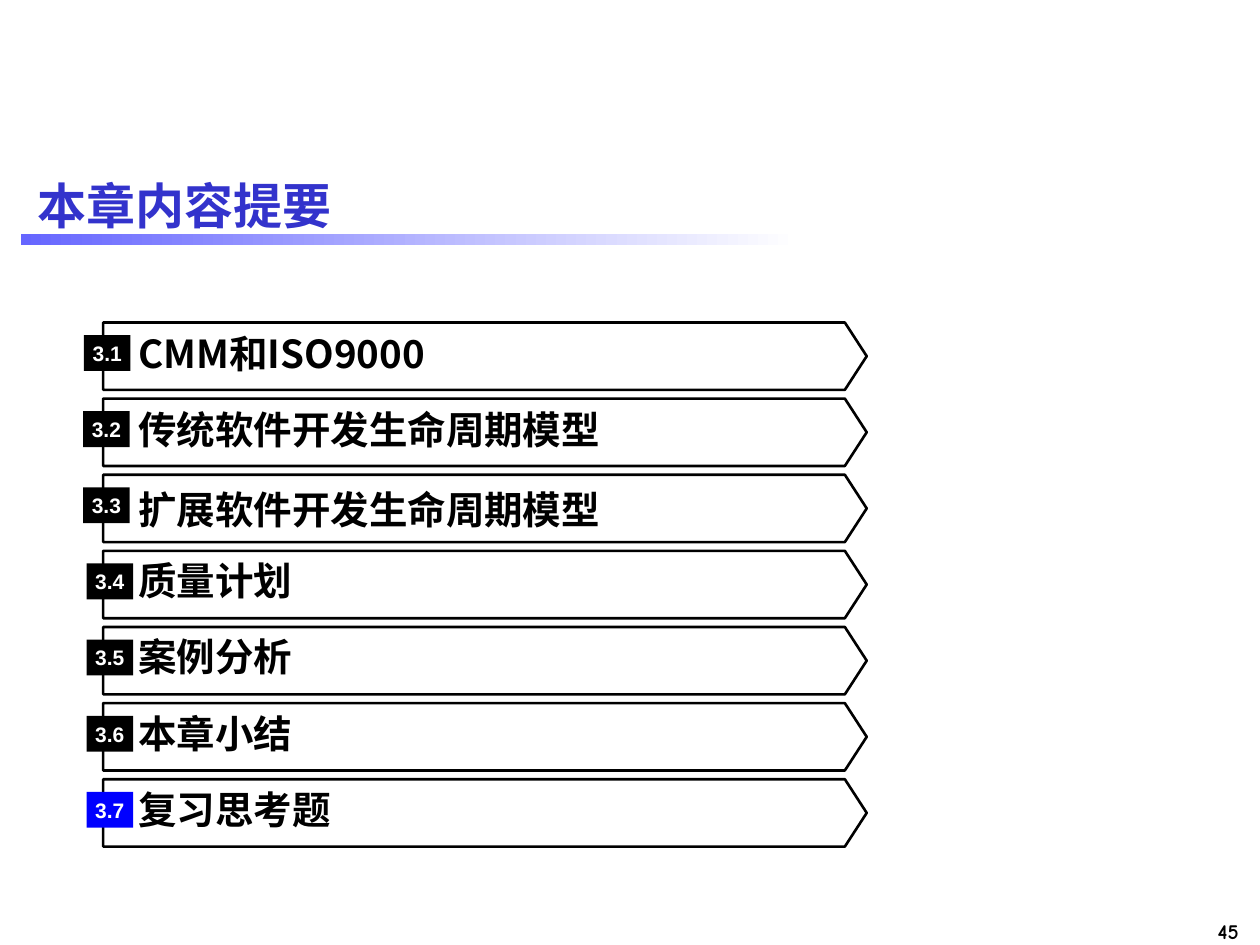
from pptx import Presentation
from pptx.dml.color import RGBColor
from pptx.enum.shapes import MSO_SHAPE
from pptx.enum.text import MSO_ANCHOR, PP_ALIGN
from pptx.oxml.ns import qn
from pptx.util import Pt
from lxml.etree import SubElement

BLACK = RGBColor(0x00, 0x00, 0x00)
WHITE = RGBColor(0xFF, 0xFF, 0xFF)
BLUE = RGBColor(0x00, 0x00, 0xFF)
TITLE_BLUE = RGBColor(0x33, 0x33, 0xCC)
RULE_BLUE = RGBColor(0x66, 0x66, 0xFF)

CJK_FONT = "Noto Sans CJK SC"
TITLE = "本章内容提要"
PAGE_NUMBER = "45"

# number, heading, badge colour, badge left, text drop below the banner top
SECTIONS = [
    ("3.1", "CMM和ISO9000", BLACK, 48, 3),
    ("3.2", "传统软件开发生命周期模型", BLACK, 47.5, 3),
    ("3.3", "扩展软件开发生命周期模型", BLACK, 47.5, 5.5),
    ("3.4", "质量计划", BLACK, 49.5, 2.5),
    ("3.5", "案例分析", BLACK, 49.5, 2.5),
    ("3.6", "本章小结", BLACK, 49.5, 2.5),
    ("3.7", "复习思考题", BLUE, 49.5, 2.5),
]

FIRST_TOP, PITCH = 184.3, 43.5
BANNER_LEFT, BANNER_WIDTH, BANNER_HEIGHT, TIP = 59, 436.3, 38.5, 12.5
TEXT_LEFT, TEXT_WIDTH, TEXT_HEIGHT = 79.2, 387.4, 28.8
BADGE_DROP, BADGE_WIDTH, BADGE_HEIGHT = 7.2, 26.6, 20.5


def write(shape, text, font, size, color, align=PP_ALIGN.LEFT, margins=(0, 0),
          anchor=MSO_ANCHOR.MIDDLE, wrap=True):
    frame = shape.text_frame
    frame.word_wrap = wrap
    frame.vertical_anchor = anchor
    frame.margin_left = frame.margin_right = Pt(margins[0])
    frame.margin_top = frame.margin_bottom = Pt(margins[1])
    para = frame.paragraphs[0]
    para.alignment = align
    span = para.add_run()
    span.text = text
    span.font.name = font
    span.font.size = Pt(size)
    span.font.bold = True
    span.font.color.rgb = color
    east_asian = SubElement(span.font._element, qn("a:ea"))
    east_asian.set("typeface", CJK_FONT)


def add_text(page, left, top, width, height, *content, **options):
    box = page.shapes.add_textbox(Pt(left), Pt(top), Pt(width), Pt(height))
    write(box, *content, **options)


def add_rectangle(page, left, top, width, height):
    shape = page.shapes.add_shape(
        MSO_SHAPE.RECTANGLE, Pt(left), Pt(top), Pt(width), Pt(height))
    shape.shadow.inherit = False
    shape.line.fill.background()
    return shape


def add_title_rule(page):
    rule = add_rectangle(page, 12, 133.8, 444.2, 6)
    rule.fill.gradient()
    rule.fill.gradient_angle = 0
    for stop, position, color in zip(
            rule.fill.gradient_stops, (0, 1), (RULE_BLUE, WHITE)):
        stop.position = position
        stop.color.rgb = color


def add_banner(page, top):
    right = BANNER_LEFT + BANNER_WIDTH
    bottom = top + BANNER_HEIGHT
    corners = [(right - TIP, top), (right, (top + bottom) / 2),
               (right - TIP, bottom), (BANNER_LEFT, bottom)]
    builder = page.shapes.build_freeform(Pt(BANNER_LEFT), Pt(top))
    builder.add_line_segments([(Pt(x), Pt(y)) for x, y in corners], close=True)
    banner = builder.convert_to_shape()
    banner.shadow.inherit = False
    banner.fill.background()
    banner.line.color.rgb = BLACK
    banner.line.width = Pt(1.5)


def add_section(page, index, number, heading, color, badge_left, text_drop):
    top = FIRST_TOP + index * PITCH
    add_banner(page, top)
    add_text(page, TEXT_LEFT, top + text_drop, TEXT_WIDTH, TEXT_HEIGHT,
             heading, CJK_FONT, 22, BLACK)
    badge = add_rectangle(page, badge_left, top + BADGE_DROP,
                          BADGE_WIDTH, BADGE_HEIGHT)
    badge.fill.solid()
    badge.fill.fore_color.rgb = color
    write(badge, number, "Arial", 12, WHITE, align=PP_ALIGN.CENTER)


def main():
    deck = Presentation()
    deck.slide_width, deck.slide_height = Pt(720), Pt(540)
    page = deck.slides.add_slide(deck.slide_layouts[6])
    add_text(page, 648.7, 521.3, 66.2, 21.6, PAGE_NUMBER, "Comic Neue", 12,
             BLACK, align=PP_ALIGN.RIGHT, margins=(7.2, 3.6),
             anchor=MSO_ANCHOR.TOP, wrap=False)
    add_title_rule(page)
    add_text(page, 14.4, 88.6, 691.9, 56.9, TITLE, "Arial", 28, TITLE_BLUE,
             margins=(7.2, 3.6))
    for index, section in enumerate(SECTIONS):
        add_section(page, index, *section)
    deck.save("out.pptx")


if __name__ == "__main__":
    main()
